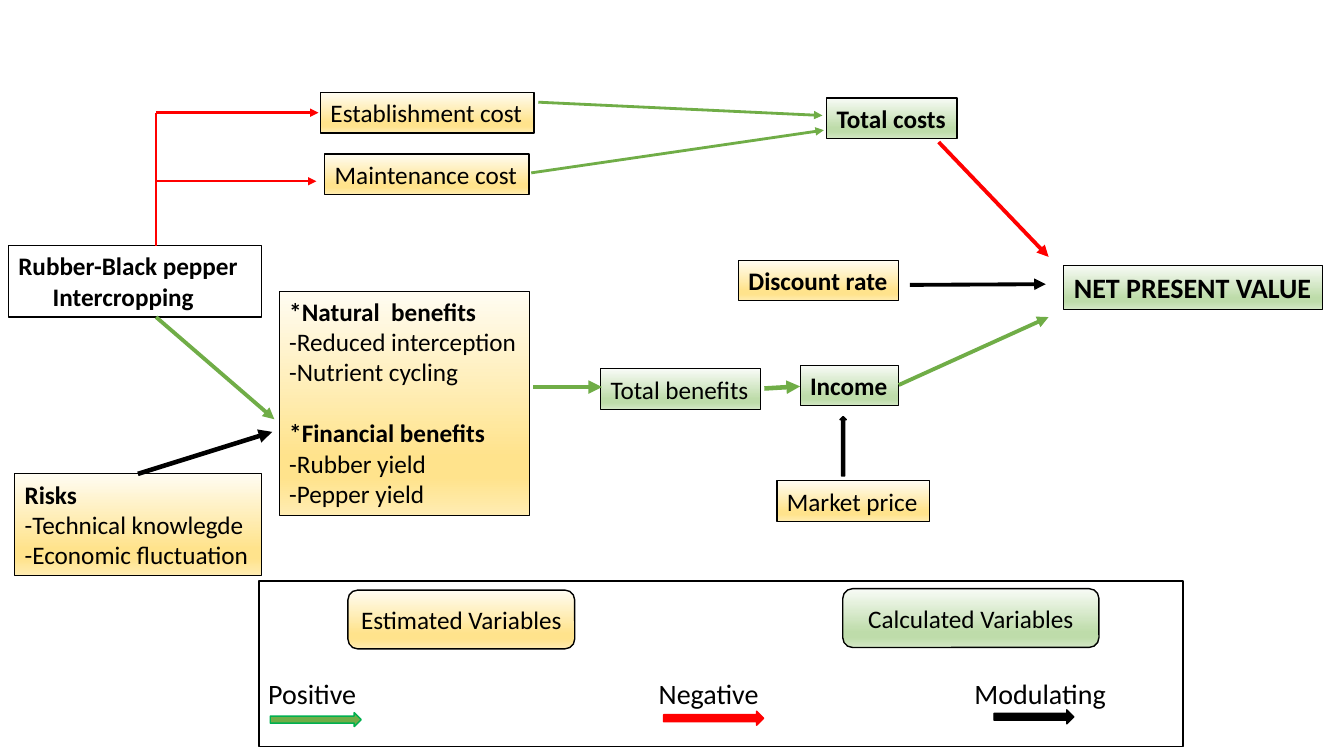
from copy import deepcopy
from dataclasses import dataclass

from lxml import etree
from pptx import Presentation
from pptx.dml.color import RGBColor
from pptx.enum import shapes, text
from pptx.oxml import ns
from pptx.util import Pt

BLACK = RGBColor(0x00, 0x00, 0x00)
WHITE = RGBColor(0xFF, 0xFF, 0xFF)
GREEN = RGBColor(0x70, 0xAD, 0x47)
GREEN_EDGE = RGBColor(0x00, 0xB0, 0x50)
RED = RGBColor(0xFF, 0x00, 0x00)

# Colours at the gradient positions below, from top to bottom
STOPS = (0, 0.74, 0.83, 1)
ESTIMATED = (RGBColor(0xFF, 0xFC, 0xF2), RGBColor(0xFF, 0xE3, 0x8C),
             RGBColor(0xFF, 0xE3, 0x8C), RGBColor(0xFF, 0xEC, 0xB2))
CALCULATED = (RGBColor(0xF8, 0xFB, 0xF6), RGBColor(0xBE, 0xDC, 0xAA),
              RGBColor(0xBE, 0xDC, 0xAA), RGBColor(0xD4, 0xE8, 0xC6))

FONT = "Calibri"
ROW = 29  # height of a box with one line of text
BLANK_LINE = 22
KIND = shapes.MSO_SHAPE


@dataclass
class Box:
    """A variable of the model; bold lists its bold lines."""
    lines: str
    left: float
    top: float
    width: float
    height: float = ROW
    colours: tuple | None = ESTIMATED
    bold: tuple = ()
    edge: float = 0.75
    size: float = 18
    wrap: bool = False
    kind: KIND = KIND.RECTANGLE


@dataclass
class Link:
    """A straight influence from one point to another."""
    start: tuple
    end: tuple
    colour: RGBColor
    weight: float
    arrow: bool = True


@dataclass
class Key:
    """A legend entry: a label above a block arrow."""
    label: str
    label_left: float
    left: float
    top: float
    width: float
    colour: RGBColor
    edge: RGBColor


BOXES = [
    Box("Rubber-Black pepper\nIntercropping", 6, 175.5, 181, 51, None, (0, 1), 1, wrap=True),
    Box("*Natural  benefits\n-Reduced interception\n-Nutrient cycling\n"
        "*Financial benefits\n-Rubber yield\n-Pepper yield",
        199.5, 208, 178.5, 160, bold=(0, 3)),
    Box("Risks\n-Technical knowlegde\n-Economic fluctuation", 10.5, 338.5, 176.5, 72.5, bold=(0,)),
    Box("Establishment cost", 229, 66, 152.5, edge=1),
    Box("Maintenance cost", 232, 110, 146, edge=1),
    Box("Total costs", 590.5, 70, 93, colours=CALCULATED, bold=(0,), edge=1),
    Box("Discount rate", 527.5, 186, 114.5, bold=(0,)),
    Box("Total benefits", 429, 263.5, 114.5, colours=CALCULATED),
    Box("Income", 571.5, 261, 70, colours=CALCULATED, bold=(0,)),
    Box("Market price", 555, 343.5, 109),
    Box("NET PRESENT VALUE", 760, 189.5, 185, 31.5, CALCULATED, (0,), size=20),
]

LEGEND_BOXES = [
    Box("Estimated Variables", 248.5, 421.5, 162, 42, edge=1, kind=KIND.ROUNDED_RECTANGLE),
    Box("Calculated Variables", 602, 420.5, 183, 42, CALCULATED, edge=1,
        kind=KIND.ROUNDED_RECTANGLE),
]

LINKS = [
    Link((111.5, 175.5), (111.5, 80.5), RED, 1.75, arrow=False),
    Link((111.5, 80.5), (227.5, 80.5), RED, 1.75),
    Link((111.5, 129.5), (226, 129.5), RED, 1.5),
    Link((384.5, 73), (587.5, 82.5), GREEN, 2),
    Link((379.5, 123.5), (588.5, 93), GREEN, 2),
    Link((670.5, 101.5), (749, 183.5), RED, 2.75),
    Link((650, 203.5), (747, 203), BLACK, 2.75),
    Link((642, 275), (749, 226.5), GREEN, 2.75),
    Link((381, 276.5), (430, 276.5), GREEN, 3.25),
    Link((546, 277.5), (571.5, 276), GREEN, 3.25),
    Link((111.5, 226.5), (196, 299.5), GREEN, 2.75),
    Link((98.5, 338.5), (194.5, 308.5), BLACK, 3.25),
]

KEYS = [
    Key("Positive", 191.5, 193, 509, 65, GREEN, GREEN_EDGE),
    Key("Negative", 470.5, 474, 508, 71.5, RED, RED),
    Key("Modulating", 696, 710, 507, 57, BLACK, BLACK),
]


def add_block(slide, kind: KIND, left: float, top: float, width: float, height: float,
              fill: RGBColor | None, edge: RGBColor = BLACK, weight: float = 1):
    """Draw a preset shape with a plain fill or none."""
    block = slide.shapes.add_shape(kind, Pt(left), Pt(top), Pt(width), Pt(height))
    block.shadow.inherit = False
    if fill is None:
        block.fill.background()
    else:
        block.fill.solid()
        block.fill.fore_color.rgb = fill
    block.line.color.rgb = edge
    block.line.width = Pt(weight)
    return block


def shade(block, colours: tuple) -> None:
    """Fill a shape with a vertical gradient of four stops."""
    block.fill.gradient()
    block.fill.gradient_angle = 270
    stop_list = block._element.spPr.find(".//" + ns.qn("a:gsLst"))
    for _ in range(len(colours) - len(stop_list)):
        stop_list.append(deepcopy(stop_list[0]))
    for stop, position, colour in zip(block.fill.gradient_stops, STOPS, colours):
        stop.position = position
        stop.color.rgb = colour


def style(paragraph, size: float, bold: bool = False) -> None:
    """Format all runs of a paragraph."""
    for run in paragraph.runs:
        run.font.name = FONT
        run.font.size = Pt(size)
        run.font.bold = bold
        run.font.color.rgb = BLACK


def add_box(slide, box: Box):
    """Draw a variable with its text and return its text frame."""
    block = add_block(slide, box.kind, box.left, box.top, box.width, box.height,
                      None, weight=box.edge)
    if box.colours:
        shade(block, box.colours)
    pill = box.kind == KIND.ROUNDED_RECTANGLE
    frame = block.text_frame
    frame.word_wrap = box.wrap
    frame.vertical_anchor = text.MSO_ANCHOR.MIDDLE if pill else text.MSO_ANCHOR.TOP
    frame.text = box.lines
    for index, paragraph in enumerate(frame.paragraphs):
        paragraph.alignment = text.PP_ALIGN.CENTER if pill else text.PP_ALIGN.LEFT
        style(paragraph, box.size, index in box.bold)
    return frame


def add_link(slide, link: Link) -> None:
    """Draw an influence line, with an arrowhead at its end if asked."""
    line = slide.shapes.add_connector(shapes.MSO_CONNECTOR.STRAIGHT,
                                      *map(Pt, link.start + link.end))
    line.line.color.rgb = link.colour
    line.line.width = Pt(link.weight)
    properties = line._element.spPr
    if link.arrow:
        etree.SubElement(properties.find(ns.qn("a:ln")), ns.qn("a:tailEnd"), type="triangle")
    etree.SubElement(properties, ns.qn("a:effectLst"))


def add_key(slide, key: Key) -> None:
    """Draw a legend label and its block arrow."""
    label = slide.shapes.add_textbox(Pt(key.label_left), Pt(483), Pt(110), Pt(25)).text_frame
    label.word_wrap = True
    label.margin_left = label.margin_right = label.margin_top = label.margin_bottom = 0
    label.text = key.label
    style(label.paragraphs[0], 20)
    add_block(slide, KIND.RIGHT_ARROW, key.left, key.top, key.width, 10, key.colour, key.edge)


def main() -> None:
    """Build the slide and save it."""
    deck = Presentation()
    deck.slide_width, deck.slide_height = Pt(960), Pt(540)
    slide = deck.slides.add_slide(deck.slide_layouts[6])

    frames = [add_box(slide, box) for box in BOXES]
    cropping, benefits = frames[:2]
    cropping.paragraphs[1]._p.get_or_add_pPr().set("marL", str(Pt(24.5)))
    benefits.paragraphs[3].space_before = Pt(BLANK_LINE)

    add_block(slide, KIND.RECTANGLE, 185, 415, 660, 118.5, WHITE)
    for box in LEGEND_BOXES:
        add_box(slide, box)
    for key in KEYS:
        add_key(slide, key)
    for link in LINKS:
        add_link(slide, link)
    add_block(slide, KIND.UP_ARROW, 600, 297.5, 4.5, 42.5, BLACK)  # market price to income
    deck.save("out.pptx")


main()
